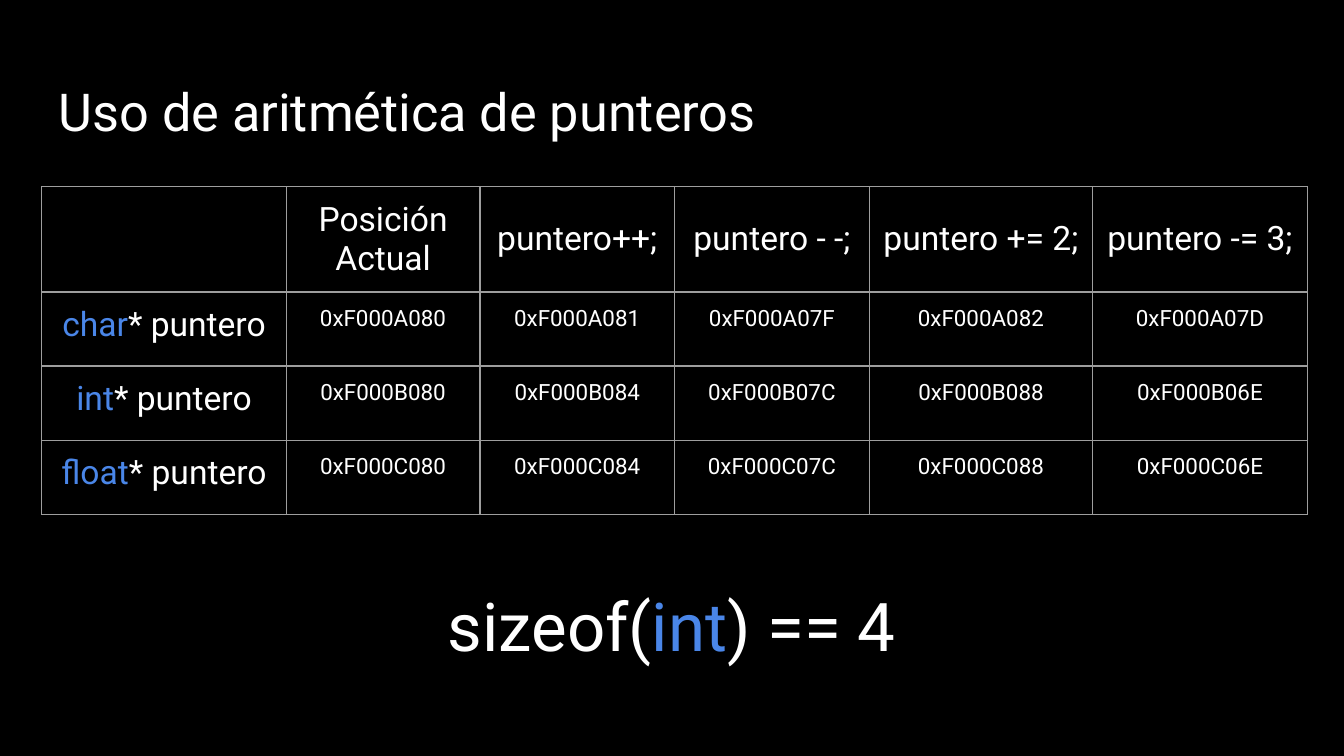
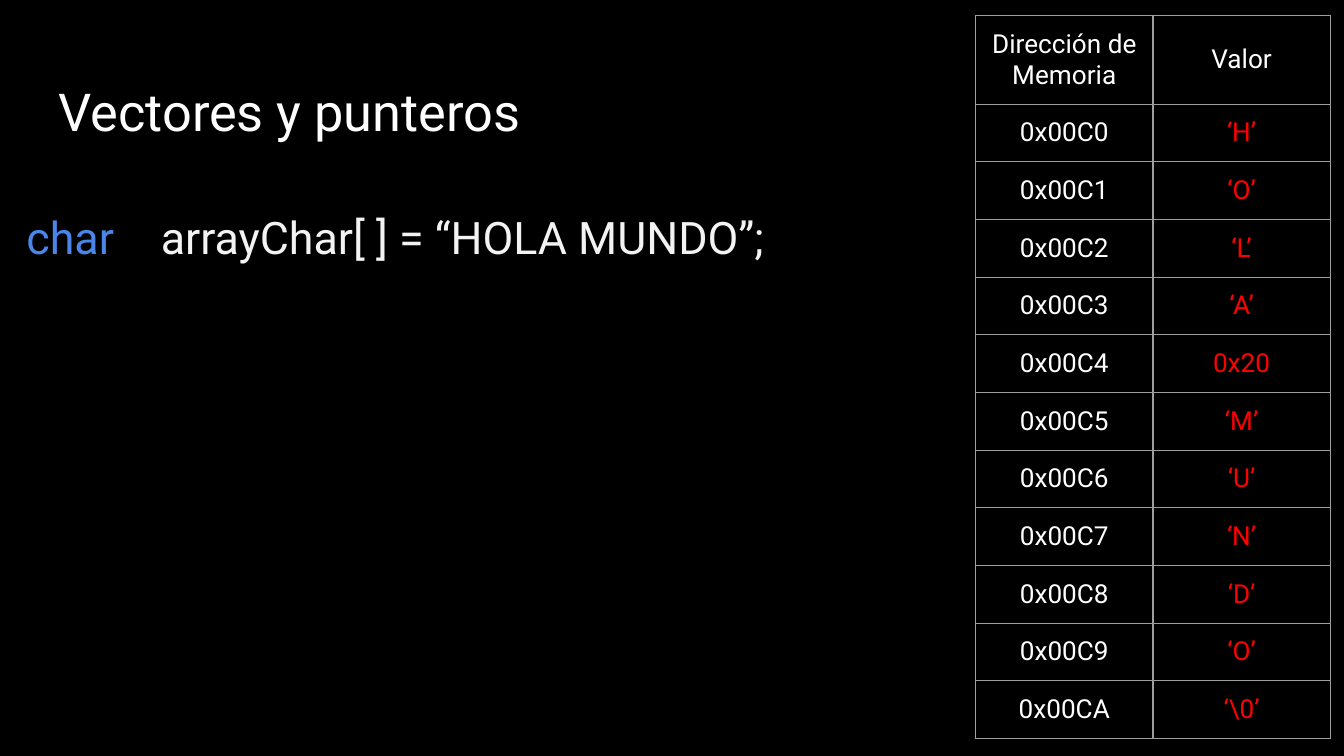
from lxml.etree import SubElement
from pptx import Presentation
from pptx.dml.color import RGBColor
from pptx.enum.text import MSO_ANCHOR, MSO_AUTO_SIZE, PP_ALIGN
from pptx.oxml.ns import qn
from pptx.util import Cm, Pt

FONT = "Roboto"
COLORS = {
    "background": "000000",
    "text": "FFFFFF",
    "code": "F3F3F3",
    "keyword": "4A86E8",
    "value": "FF0000",
    "border": "9E9E9E",
}
INSET = Cm(0.25)
TITLE_BOX = (0.86, 1.24, 23.67, 1.6)


class Deck:
    def __init__(self):
        self.prs = Presentation()
        self.prs.slide_width = Cm(25.4)
        self.prs.slide_height = Cm(14.29)
        fill = self.prs.slide_master.background.fill
        fill.solid()
        fill.fore_color.rgb = RGBColor.from_string(COLORS["background"])
        self.s = None

    def add_slide(self, title):
        self.s = self.prs.slides.add_slide(self.prs.slide_layouts[5])
        sp = self.s.shapes.title
        sp.left, sp.top, sp.width, sp.height = map(Cm, TITLE_BOX)
        self.fill_frame(sp.text_frame, [(title, "text")], 28, PP_ALIGN.LEFT)

    def add_runs(self, p, runs, size, align):
        """Add (text, colour name) runs to a paragraph."""
        p.alignment = align
        for text, color in runs:
            r = p.add_run()
            r.text = text
            r.font.name = FONT
            r.font.size = Pt(size)
            r.font.color.rgb = RGBColor.from_string(COLORS[color])

    def fill_frame(self, tf, runs, size, align):
        tf.word_wrap = True
        tf.auto_size = MSO_AUTO_SIZE.NONE
        tf.vertical_anchor = MSO_ANCHOR.TOP
        tf.margin_left = tf.margin_right = INSET
        tf.margin_top = tf.margin_bottom = INSET
        self.add_runs(tf.paragraphs[0], runs, size, align)

    def add_text(self, box, runs, size, align=PP_ALIGN.LEFT):
        sp = self.s.shapes.add_textbox(*map(Cm, box))
        self.fill_frame(sp.text_frame, runs, size, align)
        return sp.text_frame.paragraphs[0]

    def add_table(self, left, top, widths, heights, rows):
        """Draw rows of cells, each cell given as (runs, size, anchor)."""
        table = self.s.shapes.add_table(
            len(heights), len(widths), Cm(left), Cm(top),
            Cm(sum(widths)), Cm(sum(heights))).table
        table.first_row = table.horz_banding = False
        for column, width in zip(table.columns, widths):
            column.width = Cm(width)
        for row, height, contents in zip(table.rows, heights, rows):
            row.height = Cm(height)
            for cell, (runs, size, anchor) in zip(row.cells, contents):
                self.add_borders(cell)
                cell.fill.background()
                cell.vertical_anchor = anchor
                cell.margin_left = cell.margin_right = INSET
                cell.margin_top = cell.margin_bottom = INSET
                self.add_runs(cell.text_frame.paragraphs[0], runs, size,
                              PP_ALIGN.CENTER)

    def add_borders(self, cell):
        tc_pr = cell._tc.get_or_add_tcPr()
        for side in ("a:lnL", "a:lnR", "a:lnT", "a:lnB"):
            ln = SubElement(tc_pr, qn(side), w=str(Pt(0.75)))
            fill = SubElement(ln, qn("a:solidFill"))
            SubElement(fill, qn("a:srgbClr"), val=COLORS["border"])


def add_tab_stop(p, position):
    tabs = SubElement(p._p.get_or_add_pPr(), qn("a:tabLst"))
    SubElement(tabs, qn("a:tab"), pos=str(Cm(position)), algn="l")


def pointer_arithmetic(deck):
    deck.add_slide("Uso de aritmética de punteros")
    headings = ["Posición Actual", "puntero++;", "puntero - -;",
                "puntero += 2;", "puntero -= 3;"]
    addresses = {
        "char": ["A080", "A081", "A07F", "A082", "A07D"],
        "int": ["B080", "B084", "B07C", "B088", "B06E"],
        "float": ["C080", "C084", "C07C", "C088", "C06E"],
    }
    rows = [[([], 18, MSO_ANCHOR.MIDDLE)]
            + [([(h, "text")], 18, MSO_ANCHOR.MIDDLE) for h in headings]]
    for kind, endings in addresses.items():
        label = [(kind, "keyword"), ("* puntero", "text")]
        rows.append([(label, 18, MSO_ANCHOR.TOP)]
                    + [([("0xF000" + e, "text")], 12, MSO_ANCHOR.TOP)
                       for e in endings])
    deck.add_table(0.79, 3.53, [4.62, 3.66, 3.68, 3.68, 4.22, 4.06],
                   [1.98] + [1.4] * 3, rows)
    deck.add_text((0.86, 10.8, 23.67, 1.6),
                  [("sizeof(", "text"), ("int", "keyword"),
                   (") == 4", "text")], 36, PP_ALIGN.CENTER)


def arrays_and_pointers(deck):
    deck.add_slide("Vectores y punteros")
    p = deck.add_text((0.25, 3.2, 24.28, 10.21),
                      [("char", "keyword"),
                       ("\tarrayChar[ ] = “HOLA MUNDO”;", "code")], 24)
    p.line_spacing = 1.5
    add_tab_stop(p, 2.54)

    values = ["0x20" if c == " " else f"‘{c}’" for c in "HOLA MUNDO"]
    values.append(r"‘\0’")
    pairs = [[("Dirección de Memoria", "text"), ("Valor", "text")]]
    pairs += [[(f"0x00{0xC0 + i:X}", "text"), (value, "value")]
              for i, value in enumerate(values)]
    rows = [[([run], 14, MSO_ANCHOR.MIDDLE) for run in pair]
            for pair in pairs]
    deck.add_table(18.44, 0.3, [3.35] * 2, [1.66] + [1.09] * len(values),
                   rows)


def main():
    deck = Deck()
    pointer_arithmetic(deck)
    arrays_and_pointers(deck)
    deck.prs.save("out.pptx")


if __name__ == "__main__":
    main()
